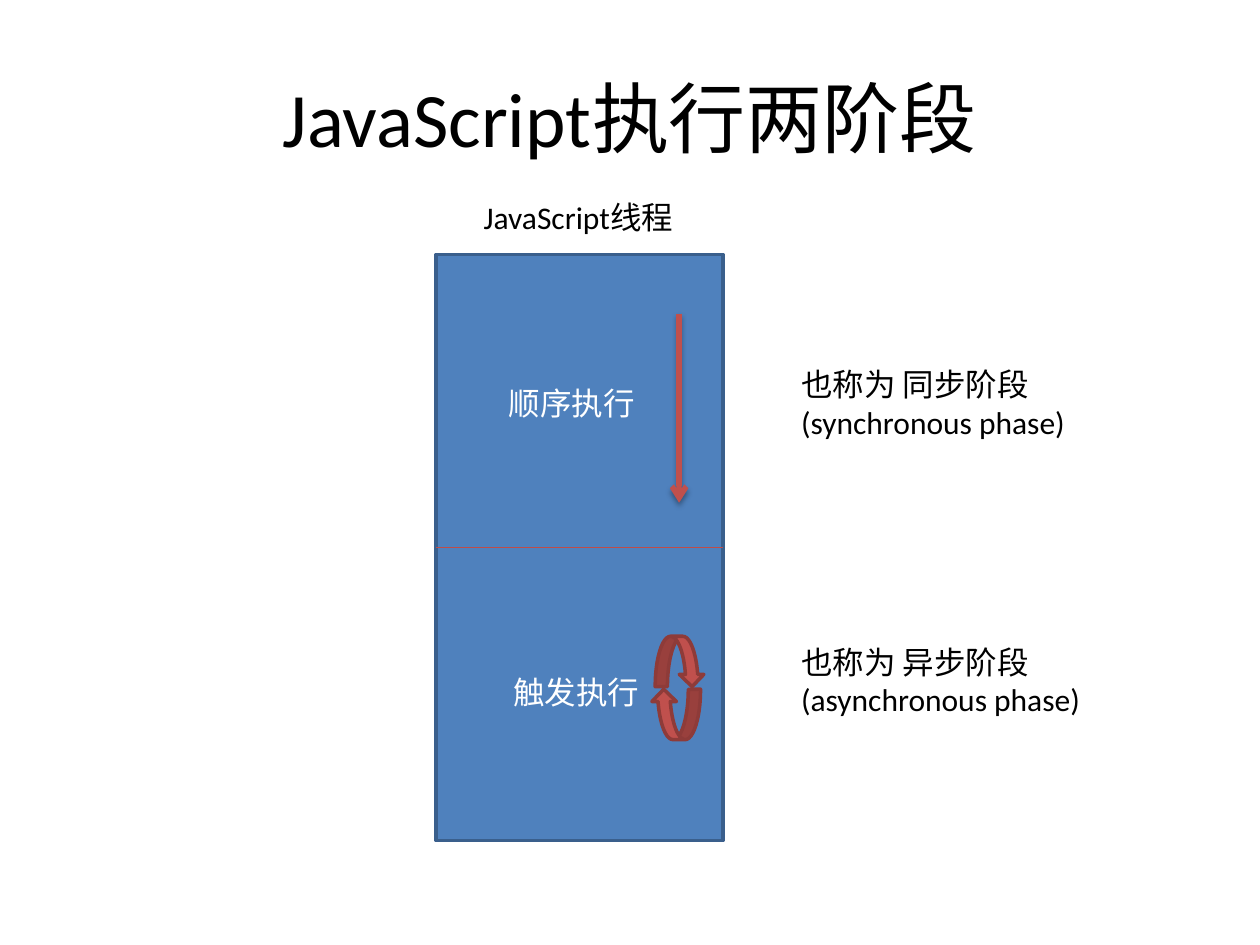
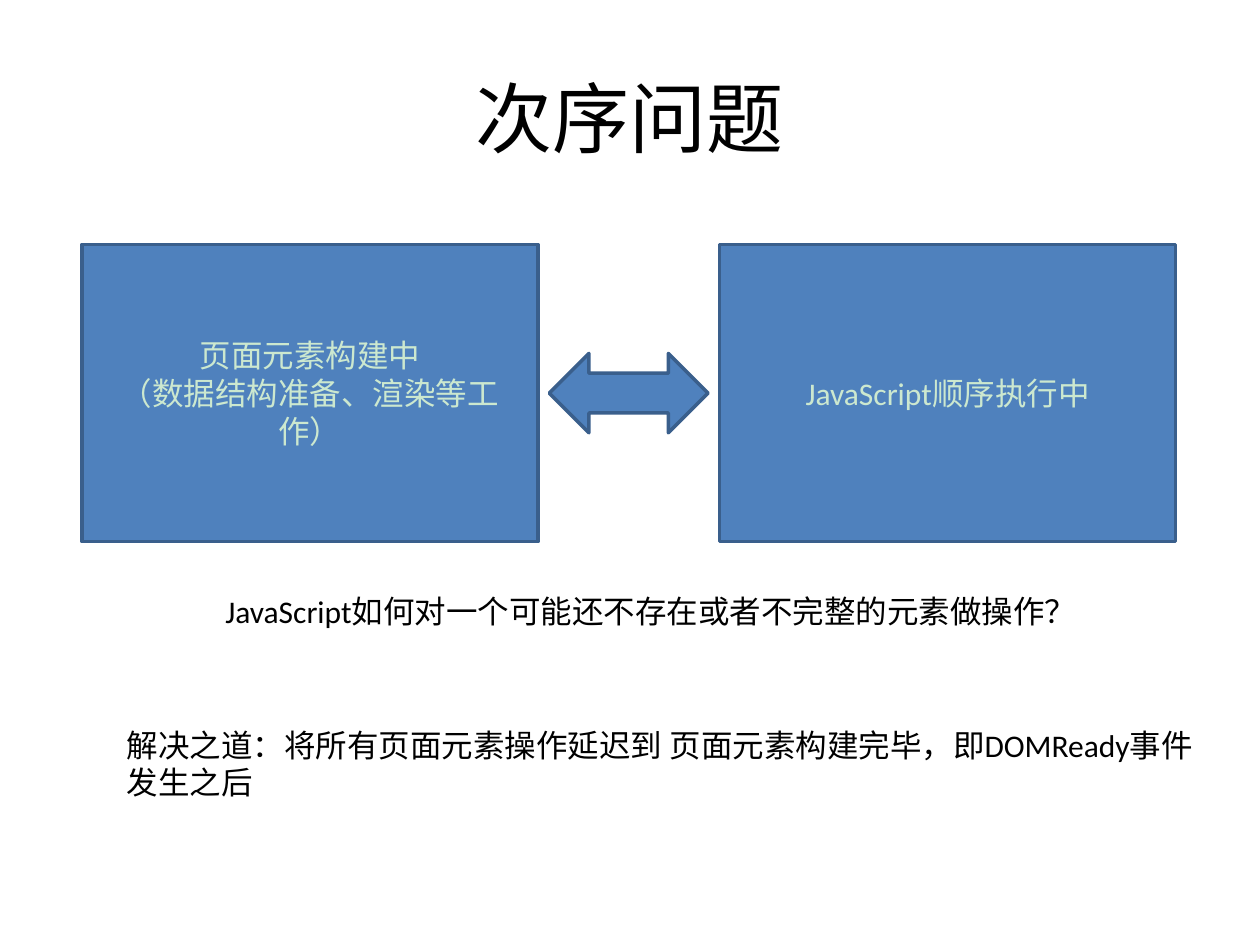
import pptx
import pptx.util
import pptx.dml.color
import pptx.enum.shapes
import pptx.enum.text
import pptx.oxml
import pptx.oxml.ns

Inches = pptx.util.Inches
Pt = pptx.util.Pt
SHAPE = pptx.enum.shapes.MSO_SHAPE
ALIGN = pptx.enum.text.PP_ALIGN
ANCHOR = pptx.enum.text.MSO_ANCHOR

FONT = "Calibri"
BLACK, WHITE, MINT = "000000", "FFFFFF", "CCE8CF"
BLUE, BLUE_EDGE = "4F81BD", "3A5F8C"
RED, RED_EDGE, RED_RULE = "C0504D", "8E3B39", "BF4C48"
TITLE_BOX = (0.5, 0.3, 9, 1.25)


def rgb(value):
    return pptx.dml.color.RGBColor.from_string(value)


def lengths(*values):
    return [Inches(v) for v in values]


def apply(obj, values):
    for name, value in values.items():
        setattr(obj, name, value)


def write(tf, lines, color=BLACK, size=18, align=ALIGN.LEFT, anchor=ANCHOR.TOP):
    apply(tf, {"word_wrap": True, "vertical_anchor": anchor})
    for i, line in enumerate(lines):
        p = tf.add_paragraph() if i else tf.paragraphs[0]
        p.alignment = align
        r = p.add_run()
        r.text = line
        apply(r.font, {"name": FONT, "size": Pt(size)})
        r.font.color.rgb = rgb(color)


def add_text(s, box, text, **style):
    sp = s.shapes.add_textbox(*lengths(*box))
    write(sp.text_frame, [text], **style)


def add_block(s, kind, box, fill=BLUE, edge=BLUE_EDGE, rotation=0):
    sp = s.shapes.add_shape(kind, *lengths(*box))
    apply(sp, {"rotation": rotation})
    sp.shadow.inherit = False
    sp.fill.solid()
    sp.fill.fore_color.rgb = rgb(fill)
    sp.line.color.rgb = rgb(edge)
    sp.line.width = Pt(2)
    return sp


def add_line(s, start, end, color, width, effects=""):
    sp = s.shapes.add_connector(pptx.enum.shapes.MSO_CONNECTOR.STRAIGHT,
                                *lengths(*start, *end))
    sp.line.color.rgb = rgb(color)
    sp.line.width = Pt(width)
    sp._element.spPr.append(pptx.oxml.parse_xml(
        f'<a:effectLst {pptx.oxml.ns.nsdecls("a")}>{effects}</a:effectLst>'))
    return sp


def add_arrow(s, start, end):
    shadow = (f'<a:outerShdw blurRad="{Pt(3.1)}" dist="{Pt(1.8)}" dir="5400000" rotWithShape="0">'
              f'<a:srgbClr val="{BLACK}"><a:alpha val="35000"/></a:srgbClr></a:outerShdw>')
    sp = add_line(s, start, end, RED, 3, shadow)
    sp.line._get_or_add_ln().append(pptx.oxml.parse_xml(
        f'<a:tailEnd {pptx.oxml.ns.nsdecls("a")} type="arrow"/>'))


def add_slide(prs, title):
    s = prs.slides.add_slide(prs.slide_layouts[5])
    s.background.fill.solid()
    s.background.fill.fore_color.rgb = rgb(WHITE)
    sp = s.shapes.title
    apply(sp, dict(zip(("left", "top", "width", "height"), lengths(*TITLE_BOX))))
    write(sp.text_frame, [title], size=44, align=ALIGN.CENTER, anchor=ANCHOR.MIDDLE)
    return s


def add_cycle(s, box):
    x, y, w, h = box
    for dx, dy, rotation in ((0.03, 0, 0), (0, 0.42, 180)):
        add_block(s, SHAPE.CURVED_DOWN_ARROW, (x + dx, y + dy, w, h), RED, RED_EDGE, rotation)


def add_thread(s, box):
    x, y, w, h = box
    middle = y + h / 2
    add_block(s, SHAPE.RECTANGLE, box)
    add_line(s, (x, middle), (x + w, middle), RED_RULE, 0.75)
    add_text(s, (x + 0.28, y - 0.5, 3.27, 0.4), "JavaScript线程")
    add_text(s, (x + 0.48, y + 0.98, 1.34, 0.4), "顺序执行", color=WHITE)
    add_text(s, (x + 0.09, y + 3.27, 2.05, 0.4), "触发执行", color=WHITE, align=ALIGN.CENTER)
    add_arrow(s, (x + 1.93, y + 0.47), (x + 1.93, y + 1.97))
    add_cycle(s, (x + 1.71, y + 3.03, 0.39, 0.4))


def add_phase_notes(s, box):
    x, y, w, h = box
    notes = ("也称为 同步阶段(synchronous phase)", "也称为 异步阶段(asynchronous phase)")
    for i, note in enumerate(notes):
        add_text(s, (x, y + i * 2.2, w, h), note)


def add_conflict(s, box):
    x, y, w, h = box
    block_w, arrow_w, arrow_h = 3.62, 1.26, 0.63
    sides = ((x, ["页面元素构建中", "（数据结构准备、渲染等工作）"]),
             (x + w - block_w, ["JavaScript顺序执行中"]))
    for left, lines in sides:
        sp = add_block(s, SHAPE.RECTANGLE, (left, y, block_w, h))
        write(sp.text_frame, lines, color=MINT, align=ALIGN.CENTER, anchor=ANCHOR.MIDDLE)
    add_block(s, SHAPE.LEFT_RIGHT_ARROW,
              (x + (w - arrow_w) / 2, y + (h - arrow_h) / 2, arrow_w, arrow_h))


def build_phases(prs):
    s = add_slide(prs, "JavaScript执行两阶段")
    add_thread(s, (3.46, 2.02, 2.28, 4.65))
    add_phase_notes(s, (6.26, 2.85, 2.83, 0.71))


def build_order(prs):
    s = add_slide(prs, "次序问题")
    add_conflict(s, (0.65, 1.94, 8.68, 2.36))
    add_text(s, (1.69, 4.65, 6.93, 0.4), "JavaScript如何对一个可能还不存在或者不完整的元素做操作？")
    add_text(s, (0.91, 5.71, 8.74, 0.71),
             "解决之道：将所有页面元素操作延迟到 页面元素构建完毕，即DOMReady事件发生之后")


prs = pptx.Presentation()
apply(prs, {"slide_width": Inches(10), "slide_height": Inches(7.5)})
build_phases(prs)
build_order(prs)
prs.save("out.pptx")
